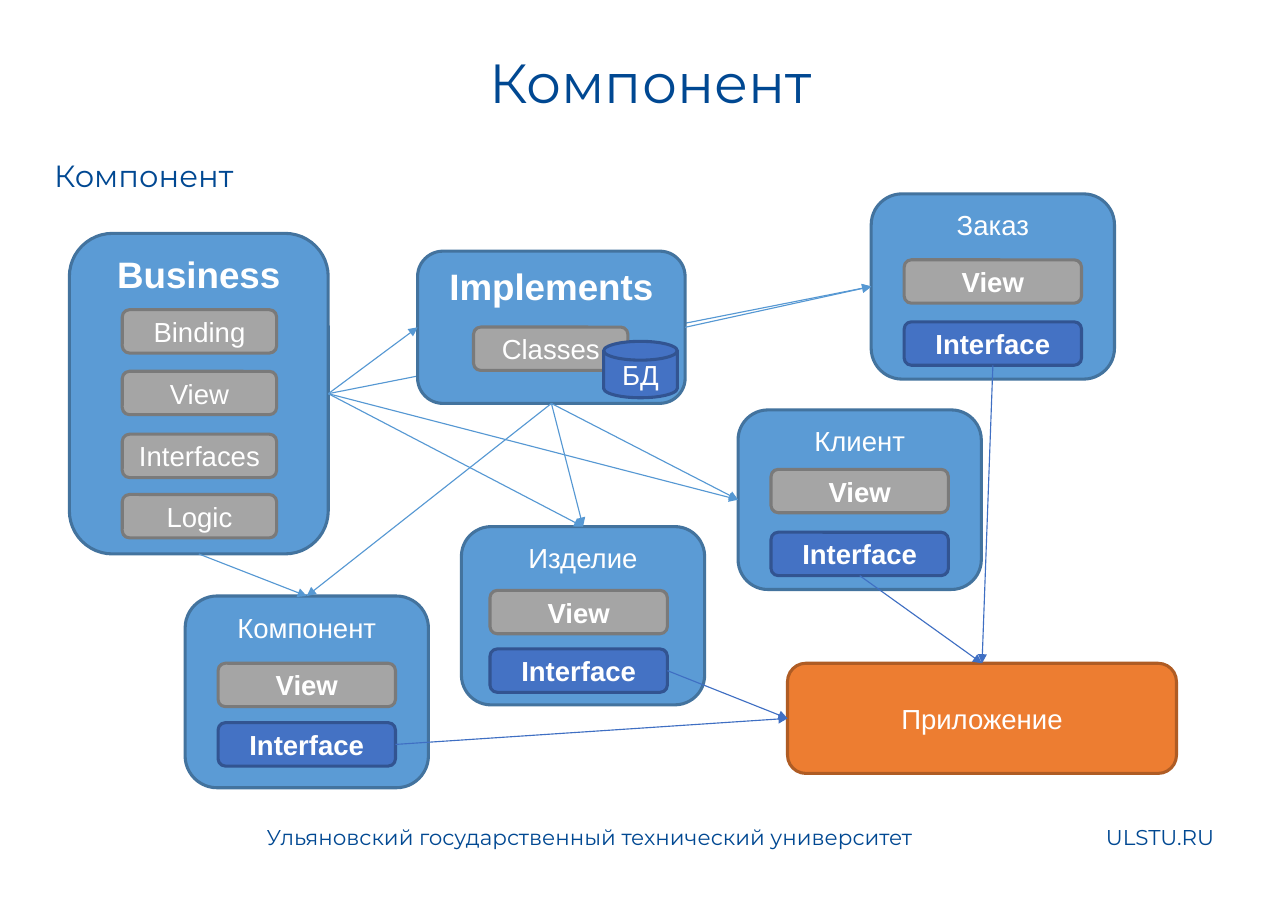
from lxml import etree
from pptx import Presentation
from pptx import util as u
from pptx.dml.color import RGBColor
from pptx.enum import shapes, text
from pptx.oxml.ns import qn

TOP, LEFT, BOTTOM, RIGHT = range(4)
NAVY, WHITE = "004892", "FFFFFF"
SKY, GREY, BLUE, ORANGE = (
    ("5B9BD5", "43739E"), ("A5A5A5", "7A7A7A"), ("4472C4", "325491"), ("ED7D31", "AF5C24"))
ROUNDED = shapes.MSO_SHAPE.ROUNDED_RECTANGLE
DISK = shapes.MSO_SHAPE.FLOWCHART_MAGNETIC_DISK


def colour(value):
    return RGBColor.from_string(value)


class Diagram:
    def __init__(self, deck):
        self.slide = deck.slides.add_slide(deck.slide_layouts[5])
        self.shapes = self.slide.shapes

    def add_words(self, box, words, size, font, ink, bold=False, centred=True,
                  anchor=text.MSO_ANCHOR.TOP):
        frame = box.text_frame
        frame.word_wrap = True
        frame.auto_size = text.MSO_AUTO_SIZE.NONE
        frame.vertical_anchor = anchor
        para = frame.paragraphs[0]
        para.alignment = text.PP_ALIGN.CENTER if centred else text.PP_ALIGN.LEFT
        span = para.add_run()
        span.text = words
        span.font.size = u.Pt(size)
        span.font.name = font
        span.font.bold = bold
        span.font.color.rgb = colour(ink)

    def title(self, words, place):
        box = self.shapes.title
        box.left, box.top, box.width, box.height = map(u.Cm, place)
        self.add_words(box, words, 36, "Montserrat", NAVY)

    def label(self, words, place, size):
        box = self.shapes.add_textbox(*map(u.Cm, place))
        self.add_words(box, words, size, "Montserrat", NAVY, centred=False)

    def block(self, owner, words, place, paint, size=18, bold=False,
              anchor=text.MSO_ANCHOR.MIDDLE, outline=ROUNDED):
        box = owner.add_shape(outline, *map(u.Cm, place))
        fill, edge = paint
        box.shadow.inherit = False
        box.fill.solid()
        box.fill.fore_color.rgb = colour(fill)
        box.line.color.rgb = colour(edge)
        box.line.width = u.Pt(2)
        self.add_words(box, words, size, "Arial", WHITE, bold, anchor=anchor)
        return box

    def panel(self, words, place, size=18, bold=False):
        group = self.shapes.add_group_shape().shapes
        return group, self.block(group, words, place, SKY, size, bold, text.MSO_ANCHOR.TOP)

    def component(self, words, place, inner_left, view_top, interface_top):
        group, card = self.panel(words, place)
        self.block(group, "View", (inner_left, view_top, 4.09, 1), GREY, bold=True)
        interface = self.block(
            group, "Interface", (inner_left, interface_top, 4.09, 1), BLUE, bold=True)
        return card, interface

    def arrow(self, start, start_side, end, end_side, ink="5698D3"):
        line = self.shapes.add_connector(shapes.MSO_CONNECTOR.STRAIGHT, 0, 0, 0, 0)
        line.begin_connect(start, start_side)
        line.end_connect(end, end_side)
        line.line.color.rgb = colour(ink)
        line.line.width = u.Pt(0.75)
        properties = line._element.spPr
        etree.SubElement(properties.find(qn("a:ln")), qn("a:tailEnd"), type="triangle")
        etree.SubElement(properties, qn("a:effectLst"))


def main():
    deck = Presentation()
    deck.slide_width, deck.slide_height = u.Cm(29.7), u.Cm(21)
    page = Diagram(deck)

    page.title("Компонент", (1, 1, 28, 2))
    page.label("Ульяновский государственный технический университет",
               (5.9, 18.88, 15.75, 1), 14)
    page.label("ULSTU.RU", (25.25, 18.88, 3.55, 1), 14)
    page.label("Компонент", (1, 3.5, 28, 1.5), 20)

    parts, business = page.panel("Business", (1.6, 5.38, 5.97, 7.39), 24, True)
    for name, top in (("Binding", 7.14), ("View", 8.56), ("Interfaces", 10.01), ("Logic", 11.4)):
        page.block(parts, name, (2.82, top, 3.56, 1), GREY)

    client, client_interface = page.component(
        "Клиент", (17.02, 9.45, 5.61, 4.14), 17.78, 10.82, 12.27)
    component, component_interface = page.component(
        "Компонент", (4.27, 13.74, 5.61, 4.42), 5.03, 15.29, 16.66)
    product, product_interface = page.component(
        "Изделие", (10.64, 12.14, 5.61, 4.11), 11.3, 13.61, 14.96)
    order, order_interface = page.component(
        "Заказ", (20.09, 4.47, 5.61, 4.27), 20.85, 5.99, 7.42)

    targets = ((component, TOP), (product, TOP), (client, LEFT), (order, LEFT))
    for card, side in targets:
        page.arrow(business, BOTTOM if card is component else RIGHT, card, side)

    parts, implements = page.panel("Implements", (9.63, 5.79, 6.17, 3.51), 24, True)
    page.block(parts, "Classes", (10.92, 7.54, 3.56, 1), GREY)
    page.block(parts, "БД", (13.92, 7.87, 1.7, 1.3), BLUE, outline=DISK)

    page.arrow(business, RIGHT, implements, LEFT)
    for card, side in targets:
        page.arrow(implements, RIGHT if card is order else BOTTOM, card, side)

    application = page.block(page.shapes, "Приложение", (18.16, 15.29, 8.97, 2.54), ORANGE)
    for interface, side, entry in (
            (component_interface, RIGHT, LEFT), (product_interface, RIGHT, LEFT),
            (client_interface, BOTTOM, TOP), (order_interface, BOTTOM, TOP)):
        page.arrow(interface, side, application, entry, "3F6FC3")

    deck.save("out.pptx")


if __name__ == "__main__":
    main()
